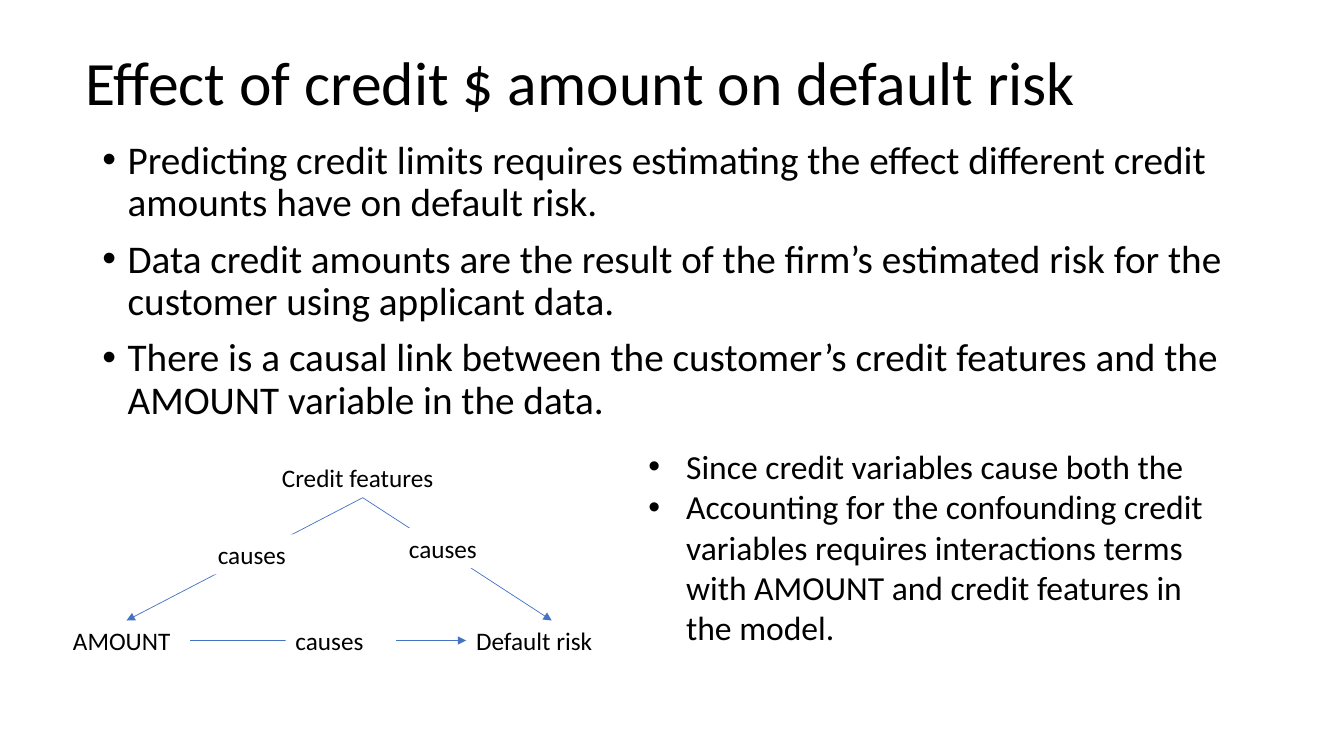
from collections import namedtuple
from dataclasses import dataclass

from lxml import etree
from pptx import Presentation
from pptx import util as u
from pptx.dml.color import RGBColor
from pptx.enum import shapes, text
from pptx.oxml.ns import qn

Box = namedtuple("Box", "left top width height")
TOP, LEFT, BOTTOM, RIGHT = range(4)


@dataclass(frozen=True)
class Theme:
    font: str = "Calibri"
    ink: RGBColor = RGBColor(0x00, 0x00, 0x00)
    paper: RGBColor = RGBColor(0xFF, 0xFF, 0xFF)
    arrow: RGBColor = RGBColor(0x44, 0x72, 0xC4)
    title: int = 44
    body: int = 28
    notes: int = 24
    label: int = 18
    arrow_width: float = 0.5


THEME = Theme()


def px(length):
    return u.Emu(length * 9525)


def place(shape, box):
    shape.left, shape.top, shape.width, shape.height = map(px, box)


def write(shape, lines, size, anchor=text.MSO_ANCHOR.TOP):
    frame = shape.text_frame
    frame.text = "\n".join(lines)
    frame.word_wrap = True
    frame.auto_size = text.MSO_AUTO_SIZE.NONE
    frame.vertical_anchor = anchor
    for para in frame.paragraphs:
        para.alignment = text.PP_ALIGN.LEFT
        for span in para.runs:
            span.font.name = THEME.font
            span.font.size = u.Pt(size)
            span.font.color.rgb = THEME.ink


def add_bullets(shape, indent):
    for para in shape.text_frame.paragraphs:
        props = para._p.get_or_add_pPr()
        props.set("marL", str(px(indent)))
        props.set("indent", str(-px(indent)))
        etree.SubElement(props, qn("a:buFont")).set("typeface", "Arial")
        etree.SubElement(props, qn("a:buChar")).set("char", "•")


def add_title(page, box, wording):
    title = page.shapes.title
    place(title, box)
    write(title, [wording], THEME.title, text.MSO_ANCHOR.MIDDLE)
    title.text_frame.paragraphs[0].line_spacing = 0.9


def add_body(page, box, lines):
    body = page.placeholders[1]
    place(body, box)
    write(body, lines, THEME.body)
    for para in body.text_frame.paragraphs:
        para.line_spacing = 0.9
        para.space_before = u.Pt(10)
    add_bullets(body, 24)


def add_notes(page, box, lines):
    notes = page.shapes.add_textbox(*map(px, box))
    write(notes, lines, THEME.notes)
    add_bullets(notes, 36)


def add_node(page, box, wording):
    node = page.shapes.add_textbox(*map(px, box))
    write(node, [wording], THEME.label)
    return node


def add_arrow(page, start, start_site, end, end_site):
    arrow = page.shapes.add_connector(shapes.MSO_CONNECTOR.STRAIGHT, 0, 0, 0, 0)
    arrow.begin_connect(start, start_site)
    arrow.end_connect(end, end_site)
    arrow.line.color.rgb = THEME.arrow
    arrow.line.width = u.Pt(THEME.arrow_width)
    tail = etree.SubElement(arrow.line._get_or_add_ln(), qn("a:tailEnd"))
    tail.set("type", "triangle")
    etree.SubElement(arrow._element.spPr, qn("a:effectLst"))


def add_arrow_label(page, box, wording):
    label = page.shapes.add_shape(shapes.MSO_SHAPE.RECTANGLE, *map(px, box))
    label.shadow.inherit = False
    label.fill.solid()
    label.fill.fore_color.rgb = THEME.paper
    label.line.fill.background()
    write(label, [wording], THEME.label)


def add_causal_diagram(page, box):
    row = 38
    base = box.top + box.height - row
    amount = add_node(page, Box(box.left, base, 121, row), "AMOUNT")
    features = add_node(page, Box(box.left + 199, box.top, 173, row), "Credit features")
    risk = add_node(page, Box(box.left + box.width - 163, base, 163, row), "Default risk")

    add_arrow(page, features, BOTTOM, amount, TOP)
    add_arrow(page, amount, RIGHT, risk, LEFT)
    add_arrow(page, features, BOTTOM, risk, TOP)

    for left, top in ((320, 67), (138, 73), (212, 155)):
        add_arrow_label(page, Box(box.left + left, box.top + top, 105, row), "causes")


def main():
    deck = Presentation()
    deck.slide_width, deck.slide_height = px(1280), px(720)
    page = deck.slides.add_slide(deck.slide_layouts[1])
    page.background.fill.solid()
    page.background.fill.fore_color.rgb = THEME.paper

    add_title(page, Box(72, 12, 1104, 139), "Effect of credit $ amount on default risk")
    add_body(page, Box(88, 129, 1104, 292), [
        "Predicting credit limits requires estimating the effect different credit "
        "amounts have on default risk.",
        "Data credit amounts are the result of the firm’s estimated risk for the "
        "customer using applicant data.",
        "There is a causal link between the customer’s credit features and the "
        "AMOUNT variable in the data.",
    ])
    add_causal_diagram(page, Box(60, 436, 547, 193))
    add_notes(page, Box(608, 420, 567, 204), [
        "Since credit variables cause both the",
        "Accounting for the confounding credit variables requires interactions "
        "terms with AMOUNT and credit features in the model.",
    ])
    deck.save("out.pptx")


if __name__ == "__main__":
    main()
